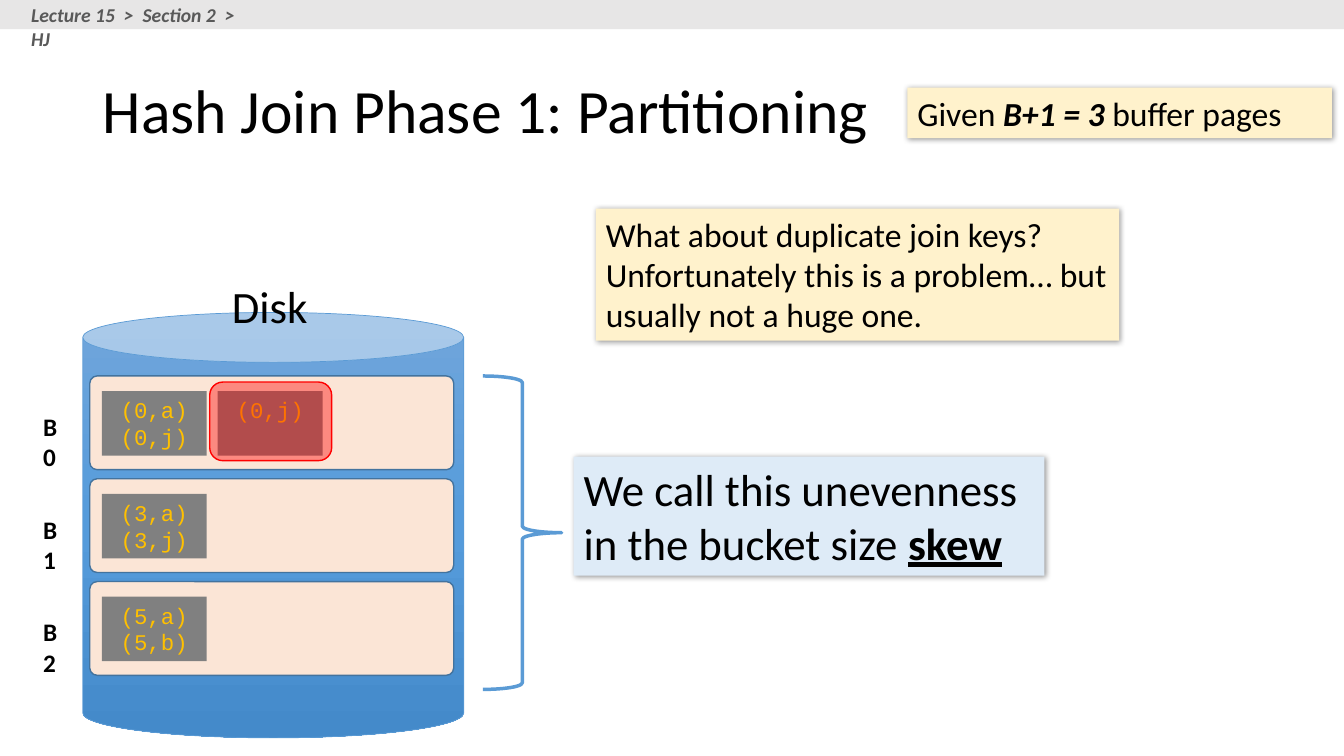
from copy import deepcopy

from lxml import etree
from pptx import Presentation
from pptx.dml.color import RGBColor
from pptx.enum.shapes import MSO_SHAPE as Shape
from pptx.enum.text import MSO_ANCHOR as Anchor, PP_ALIGN as Align
from pptx.oxml.ns import qn
from pptx.util import Inches, Pt

COLORS = {
    "text": "000000", "breadcrumb": "595959", "bar": "E7E6E6",
    "note": "FFF2CC", "answer": "DEEBF7", "blue": "5B9BD5",
    "bucket": "FBE5D6", "bucket_line": "43739E",
    "page": "808080", "record": "FFC000", "highlight": "FF0000",
}
DISK_STOPS = [(0, "71A6DB"), (0.5, "559BDB"), (1, "448ACA")]
BUCKETS = [
    ("B0", [["(0,a)", "(0,j)"], ["(0,j)"]]),
    ("B1", [["(3,a)", "(3,j)"]]),
    ("B2", [["(5,a)", "(5,b)"]]),
]
BUCKET_PITCH = 1.02
PAGE_PITCH = 1.15


def rgb(name):
    return RGBColor.from_string(COLORS[name])


def write(shape, paragraphs, size, color="text", font="Calibri", align=Align.LEFT,
          anchor=Anchor.TOP, wrap=True):
    """Fill a shape with paragraphs, each a list of (text, font format) runs."""
    frame = shape.text_frame
    frame.word_wrap = wrap
    frame.vertical_anchor = anchor
    for index, runs in enumerate(paragraphs):
        paragraph = frame.add_paragraph() if index else frame.paragraphs[0]
        paragraph.alignment = align
        for text, extra in runs:
            run = paragraph.add_run()
            run.text = text
            run.font.color.rgb = rgb(color)
            for name, value in {"name": font, "size": Pt(size), **extra}.items():
                setattr(run.font, name, value)


def add_text(slide, box, text, size, bold=False, italic=False, **options):
    shape = slide.shapes.add_textbox(*map(Inches, box))
    write(shape, [[(text, {"bold": bold, "italic": italic})]], size, **options)
    return shape


def add_shape(slide, kind, box, fill=None, line=None, width=1):
    shape = slide.shapes.add_shape(kind, *map(Inches, box))
    shape.shadow.inherit = False
    if fill:
        shape.fill.solid()
        shape.fill.fore_color.rgb = rgb(fill)
    else:
        shape.fill.background()
    if line:
        shape.line.color.rgb = rgb(line)
        shape.line.width = Pt(width)
    else:
        shape.line.fill.background()
    return shape


def add_callout(slide, box, fill, runs, size):
    """Place a filled note with a soft shadow."""
    shape = add_shape(slide, Shape.RECTANGLE, box, fill)
    effects = shape._element.spPr.find(qn("a:effectLst"))
    shadow = etree.SubElement(effects, qn("a:outerShdw"), blurRad=str(Pt(4)),
                              dist=str(Pt(1)), dir="2700000", algn="tl",
                              rotWithShape="0")
    color = etree.SubElement(shadow, qn("a:srgbClr"), val=COLORS["text"])
    etree.SubElement(color, qn("a:alpha"), val="40000")
    write(shape, [runs], size)


def add_disk(slide, box):
    left, top, width, height = box
    disk = add_shape(slide, Shape.CAN, box, line="blue", width=0.5)
    disk.adjustments[0] = 0.131
    disk.fill.gradient()
    disk.fill.gradient_angle = 270
    first = disk._element.spPr.find(qn("a:gradFill")).find(qn("a:gsLst"))[0]
    first.addnext(deepcopy(first))
    for stop, (position, color) in zip(disk.fill.gradient_stops, DISK_STOPS):
        stop.position = position
        stop.color.rgb = RGBColor.from_string(color)
    add_text(slide, (left + 1.37, top - 0.38, 0.97, 0.78), "Disk", 32,
             align=Align.CENTER, wrap=False)


def add_bucket(slide, box, label, pages):
    left, top, width, height = box
    add_text(slide, (left - 0.56, top + 0.3, 0.46, 0.4), label, 18,
             bold=True, wrap=False)
    bucket = add_shape(slide, Shape.ROUNDED_RECTANGLE, box, "bucket", "bucket_line")
    bucket.adjustments[0] = 0.079
    for index, records in enumerate(pages):
        page_box = (left + 0.12 + index * PAGE_PITCH, top + 0.15, 1.04, 0.64)
        page = add_shape(slide, Shape.RECTANGLE, page_box, "page")
        write(page, [[(record, {})] for record in records], 16, "record",
              "Courier New", Align.CENTER)


def add_highlight(slide, box):
    shape = add_shape(slide, Shape.ROUNDED_RECTANGLE, box, "highlight", "highlight")
    color = shape._element.spPr.find(qn("a:solidFill"))[0]
    etree.SubElement(color, qn("a:alpha"), val="40000")


def add_header(slide, box):
    left, top, width, height = box
    add_shape(slide, Shape.RECTANGLE, box, "bar")
    add_text(slide, (left + 0.21, top - 0.02, 2.47, 0.34),
             "Lecture 15  >  Section 2  >  HJ", 14, bold=True, italic=True,
             color="breadcrumb")


def build_partitioning_slide(presentation):
    slide = presentation.slides.add_slide(presentation.slide_layouts[6])
    title = add_text(slide, (0.92, 0.4, 11.5, 1.45), "Hash Join Phase 1: Partitioning",
                     44, anchor=Anchor.MIDDLE)
    title.text_frame.paragraphs[0].line_spacing = 0.9
    add_callout(slide, (9, 0.87, 4.21, 0.5), "note", [
        ("Given ", {}),
        ("B+1 = 3 ", {"bold": True, "italic": True}),
        ("buffer pages", {}),
    ], 24)
    add_disk(slide, (0.82, 3.1, 3.78, 4.22))
    for index, (label, pages) in enumerate(BUCKETS):
        add_bucket(slide, (0.89, 3.73 + index * BUCKET_PITCH, 3.61, 0.93), label, pages)
    add_highlight(slide, (2.08, 3.79, 1.21, 0.78))
    add_callout(slide, (5.91, 2.07, 5.19, 1.31), "note", [
        ("What about duplicate join keys?  Unfortunately this is a problem… "
         "but usually not a huge one.", {}),
    ], 24)
    add_callout(slide, (5.69, 4.53, 4.67, 1.18), "answer", [
        ("We call this unevenness in the bucket size ", {}),
        ("skew", {"bold": True, "underline": True}),
    ], 32)
    add_shape(slide, Shape.RIGHT_BRACE, (4.79, 3.73, 0.78, 3.11), line="blue", width=2.5)
    add_header(slide, (0, 0, 13.33, 0.29))


def main():
    presentation = Presentation()
    presentation.slide_width = Inches(13.33)
    presentation.slide_height = Inches(7.5)
    build_partitioning_slide(presentation)
    presentation.save("out.pptx")


if __name__ == "__main__":
    main()
